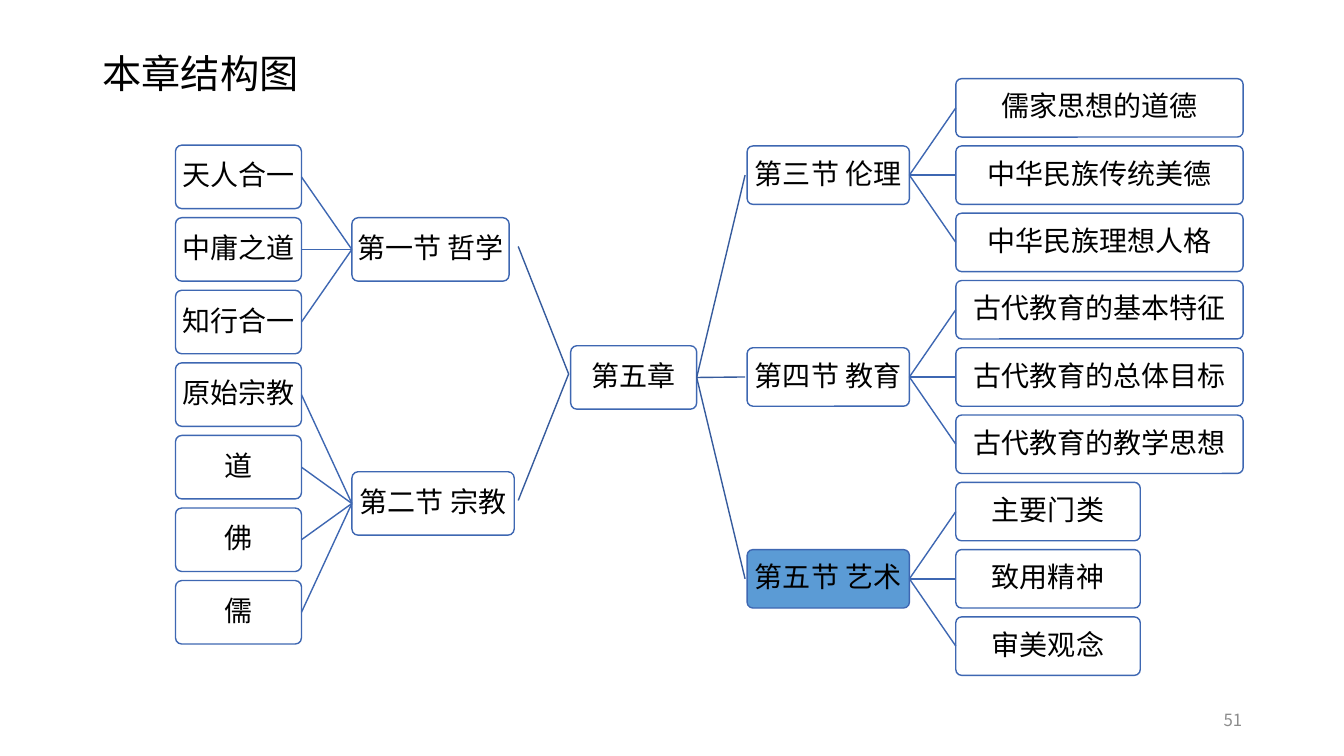
from pptx import Presentation
from pptx.dml.color import RGBColor
from pptx.enum.shapes import MSO_CONNECTOR, MSO_SHAPE
from pptx.enum.text import MSO_ANCHOR, PP_ALIGN
from pptx.oxml.ns import qn
from pptx.util import Inches, Pt
from lxml import etree

ROUND = MSO_SHAPE.ROUNDED_RECTANGLE
LINE = MSO_CONNECTOR.STRAIGHT
MIDDLE = MSO_ANCHOR.MIDDLE
LEFT, CENTER, RIGHT = PP_ALIGN.LEFT, PP_ALIGN.CENTER, PP_ALIGN.RIGHT
WEST, EAST = 1, 3
FONT = "Noto Sans CJK SC"
COLORS = {"white": "FFFFFF", "black": "000000", "gray": "8C8C8C",
          "edge": "3E67B2", "trunk": "365B9D", "focus": "5B9BD5"}

prs = Presentation()
prs.slide_width, prs.slide_height = Inches(13.33), Inches(7.5)
slide = prs.slides.add_slide(prs.slide_layouts[6])
shapes = slide.shapes


def write(shape, text, size, color="black", align=CENTER, inset=0.03):
    frame = shape.text_frame
    pad = Inches(inset)
    style = {"word_wrap": True, "vertical_anchor": MIDDLE,
             "margin_left": pad, "margin_right": pad,
             "margin_top": pad, "margin_bottom": pad}
    for name, value in style.items():
        setattr(frame, name, value)
    para = frame.paragraphs[0]
    para.alignment, para.line_spacing = align, 0.9
    run = para.add_run()
    run.text = text
    run.font.size, run.font.name = Pt(size), FONT
    run.font.color.rgb = RGBColor.from_string(COLORS[color])
    east = etree.SubElement(run.font._element, qn("a:ea"))
    east.set("typeface", FONT)


def link(start, end, color="edge"):
    """Draw a line; each end is an (x, y) point or a (box, side) pair."""
    points = [(0, 0) if hasattr(e[0], "text_frame") else e for e in (start, end)]
    line = shapes.add_connector(LINE, *[Inches(v) for p in points for v in p])
    for spot, join in ((start, line.begin_connect), (end, line.end_connect)):
        if hasattr(spot[0], "text_frame"):
            join(*spot)
    line.line.color.rgb = RGBColor.from_string(COLORS[color])
    line.line.width = Pt(1)
    etree.SubElement(line._element.spPr, qn("a:effectLst"))


# Title and page number
for text, area, size, color, align in (
        ("本章结构图", (0.92, 0.4, 11.5, 0.71), 28, "black", LEFT),
        ("51", (9.42, 6.95, 3, 0.4), 12, "gray", RIGHT)):
    label = shapes.add_textbox(*map(Inches, area))
    write(label, text, size, color, align, 0.1)

# Each side: top row, row pitch, box height, section x, leaf x,
# the side facing the leaves, the side facing the chapter
WINGS = {
    "left": (1.44, 0.72, 0.63, 3.49, 1.74, WEST, EAST),
    "right": (0.78, 5.34 / 8, 0.58, 7.41, 9.48, EAST, WEST),
}
# Side, section, section width, leaf width, fill, leaves
TREE = [
    ("left", "第一节 哲学", 1.56, 1.25, "white", ["天人合一", "中庸之道", "知行合一"]),
    ("left", "第二节 宗教", 1.61, 1.25, "white", ["原始宗教", "道", "佛", "儒"]),
    ("right", "第三节 伦理", 1.61, 2.85, "white",
     ["儒家思想的道德", "中华民族传统美德", "中华民族理想人格"]),
    ("right", "第四节 教育", 1.61, 2.85, "white",
     ["古代教育的基本特征", "古代教育的总体目标", "古代教育的教学思想"]),
    ("right", "第五节 艺术", 1.61, 1.83, "focus", ["主要门类", "致用精神", "审美观念"]),
]

# Every box as text, left, top, width, height, fill
specs = [("第五章", 5.66, 3.43, 1.25, 0.63, "white")]
joins = []
trunks = []
rows = {"left": 0, "right": 0}
for wing, title, wide, span, fill, leaves in TREE:
    top, pitch, high, x, leaf_x, out, back = WINGS[wing]
    first = rows[wing]
    rows[wing] += len(leaves)
    y = top + pitch * (first + (len(leaves) - 1) / 2)
    specs.append((title, x, y, wide, high, fill))
    trunks.append((wing, y + high / 2))
    for row, leaf in enumerate(leaves, first):
        specs.append((leaf, leaf_x, top + pitch * row, span, high, "white"))
        joins.append((title, out, leaf, back))

boxes = {}
for text, x, y, wide, high, fill in specs:
    box = shapes.add_shape(ROUND, *map(Inches, (x, y, wide, high)))
    box.adjustments[0] = 0.1
    box.shadow.inherit = False
    box.fill.solid()
    box.fill.fore_color.rgb = RGBColor.from_string(COLORS[fill])
    box.line.color.rgb = RGBColor.from_string(COLORS["edge"])
    box.line.width = Pt(1)
    write(box, text, 20)
    boxes[text] = box

for title, out, leaf, back in joins:
    link((boxes[title], out), (boxes[leaf], back))

# Trunk lines stop short of the section boxes
for wing, mid in trunks:
    if wing == "left":
        link((5.64, 3.71), (5.14, mid - 0.03), "trunk")
    else:
        link((boxes["第五章"], EAST), (7.39, mid), "trunk")

prs.save("out.pptx")
